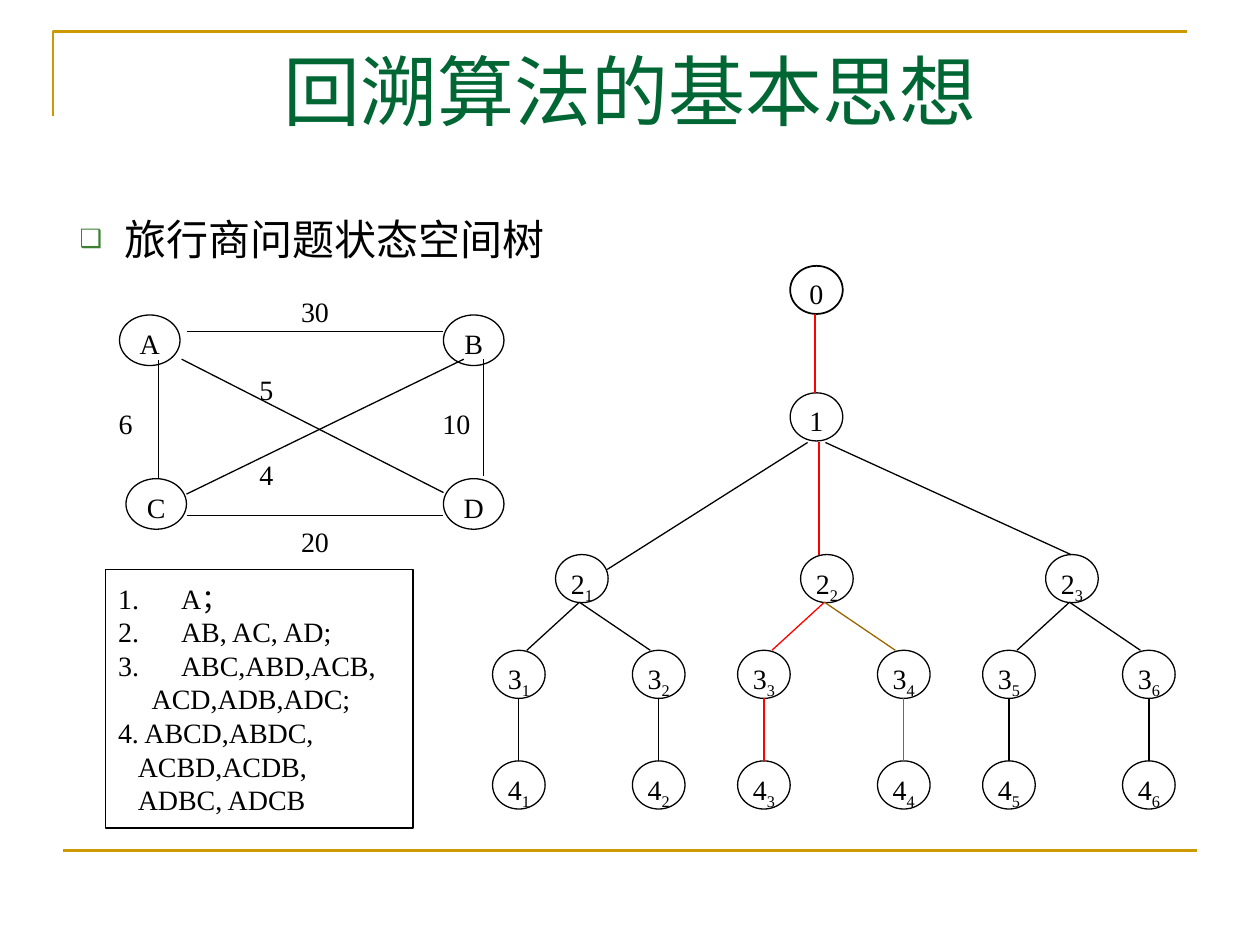
import pptx
import pptx.util
import pptx.dml.color
import pptx.enum.shapes
import pptx.enum.text
import pptx.oxml.ns
import lxml.etree

Cm = pptx.util.Cm
Pt = pptx.util.Pt
color = pptx.dml.color.RGBColor.from_string
qn = pptx.oxml.ns.qn
SERIF = "Times New Roman"
BLACK, RED, BROWN, GOLD = "000000", "FF0000", "996600", "CC9900"

deck = pptx.Presentation()
deck.slide_width, deck.slide_height = Cm(25.4), Cm(19.05)
page = deck.slides.add_slide(deck.slide_layouts[1])


def add_line(start, end, hue=BLACK, weight=0.75):
    """Draw a straight line between two points given in centimetres."""
    line = page.shapes.add_connector(
        pptx.enum.shapes.MSO_CONNECTOR.STRAIGHT,
        Cm(start[0]), Cm(start[1]), Cm(end[0]), Cm(end[1]))
    line.line.color.rgb = color(hue)
    line.line.width = Pt(weight)
    lxml.etree.SubElement(line._element.spPr, qn("a:effectLst"))


def add_node(left, top, width, height, label, subscript="", weight=0.75):
    """Draw an outlined ellipse with a label and an optional subscript."""
    node = page.shapes.add_shape(
        pptx.enum.shapes.MSO_SHAPE.OVAL, Cm(left), Cm(top), Cm(width), Cm(height))
    node.shadow.inherit = False
    node.fill.background()
    node.line.color.rgb = color(BLACK)
    node.line.width = Pt(weight)
    frame = node.text_frame
    frame.vertical_anchor = pptx.enum.text.MSO_ANCHOR.TOP
    frame.margin_left = frame.margin_right = Cm(0 if subscript else 0.05)
    frame.margin_top = frame.margin_bottom = 0
    para = frame.paragraphs[0]
    para.alignment = pptx.enum.text.PP_ALIGN.CENTER
    para.line_spacing = 1.12
    para.font.name, para.font.size = SERIF, Pt(16)
    para.font.color.rgb = color(BLACK)
    for text, baseline in ((label, 0), (subscript, -25000)):
        if text:
            span = para.add_run()
            span.text = text
            span.font.color.rgb = color(BLACK)
            if baseline:
                span._r.get_or_add_rPr().set("baseline", str(baseline))


# Frame rules
builder = page.shapes.build_freeform(Cm(1.07), Cm(2.34))
builder.add_line_segments([(Cm(1.07), Cm(0.64)), (Cm(23.93), Cm(0.64))], close=False)
corner = builder.convert_to_shape()
corner.shadow.inherit = False
corner.fill.background()
corner.line.color.rgb = color(GOLD)
corner.line.width = Pt(1.5)
add_line((1.27, 17.15), (24.13, 17.15), GOLD, 1.5)

# Title and bullet
title = page.shapes.title
title.left, title.top, title.width, title.height = Cm(1.27), Cm(0.76), Cm(22.86), Cm(3.18)
title.text_frame.text = "回溯算法的基本思想"
title.text_frame.vertical_anchor = pptx.enum.text.MSO_ANCHOR.TOP
para = title.text_frame.paragraphs[0]
para.alignment = pptx.enum.text.PP_ALIGN.CENTER
para.font.name, para.font.size = SERIF, Pt(44)
para.font.color.rgb = color("006633")

body = page.placeholders[1]
body.left, body.top, body.width, body.height = Cm(0.41), Cm(4.17), Cm(22.86), Cm(12.57)
body.text_frame.text = "旅行商问题状态空间树"
para = body.text_frame.paragraphs[0]
para.level = 1
props = para._p.get_or_add_pPr()
props.set("marL", str(Cm(1.85)))
props.set("indent", str(Cm(-0.91)))
bullet_color = lxml.etree.SubElement(props, qn("a:buClr"))
lxml.etree.SubElement(bullet_color, qn("a:srgbClr")).set("val", "3B812F")
lxml.etree.SubElement(props, qn("a:buSzPct")).set("val", "60000")
lxml.etree.SubElement(props, qn("a:buChar")).set("char", "❑")
para.space_before = Pt(4.8)
para.font.name, para.font.size = "Arial", Pt(24)
para.font.color.rgb = color(BLACK)

# Weighted graph of four cities
for city, left, top in (("A", 2.41, 6.35), ("B", 8.94, 6.35),
                        ("C", 2.54, 9.65), ("D", 8.94, 9.65)):
    add_node(left, top, 1.22, 1.02, city)

for start, end in (((3.76, 6.68), (8.94, 6.68)), ((3.2, 7.26), (3.2, 9.63)),
                   ((9.75, 7.24), (9.75, 9.6)), ((3.76, 10.39), (8.94, 10.39)),
                   ((3.76, 9.96), (9.35, 7.24)), ((3.66, 7.24), (8.94, 9.93))):
    add_line(start, end)

for cost, left, top in (("30", 6.07, 5.94), ("5", 5.23, 7.52), ("6", 2.39, 8.2),
                        ("10", 8.92, 8.2), ("4", 5.23, 9.22), ("20", 6.07, 10.57)):
    box = page.shapes.add_textbox(Cm(left), Cm(top), Cm(0.7), Cm(0.56))
    frame = box.text_frame
    frame.word_wrap = True
    frame.margin_left = frame.margin_right = frame.margin_top = frame.margin_bottom = 0
    frame.text = cost
    para = frame.paragraphs[0]
    para.font.name, para.font.size = SERIF, Pt(16)
    para.font.color.rgb = color(BLACK)

# State space tree: a root path and three equal branches
NODE = (1.06, 0.97)
BRANCH_STEP = 4.94
add_node(15.93, 5.36, *NODE, "0", weight=1)
add_node(15.93, 7.92, *NODE, "1")
add_line((16.43, 6.32), (16.43, 7.92), RED)
add_line((16.28, 8.92), (12.24, 11.48))
add_line((16.51, 8.92), (16.51, 11.18), RED)
add_line((16.64, 8.92), (21.59, 11.18))

for branch, hues in enumerate(((BLACK, BLACK), (RED, BROWN), (BLACK, BLACK))):
    shift = branch * BRANCH_STEP
    add_node(11.2 + shift, 11.18, *NODE, "2", str(branch + 1))
    for side, hue in enumerate(hues):
        left = 9.93 + 2.82 * side + shift
        center = left + NODE[0] / 2
        number = str(2 * branch + side + 1)
        add_node(left, 13.11, *NODE, "3", number)
        add_node(left, 15.34, *NODE, "4", number)
        add_line((11.68 + shift, 12.14), (10.62 + 2.49 * side + shift, 13.11), hue)
        add_line((center, 14.07), (center, 15.34), hue)

# Listing of partial tours
tours = page.shapes.add_textbox(Cm(2.13), Cm(11.48), Cm(6.2), Cm(5.21))
tours.line.color.rgb = color(BLACK)
tours.line.width = Pt(1)
frame = tours.text_frame
frame.word_wrap = True
frame.vertical_anchor = pptx.enum.text.MSO_ANCHOR.MIDDLE
tour_lines = (("A；", 1.27, True), ("AB, AC, AD;", 1.27, True),
              ("ABC,ABD,ACB,", 1.27, True), ("ACD,ADB,ADC;", 0.68, False),
              ("4. ABCD,ABDC,", 0, False), ("ACBD,ACDB,", 0.4, False),
              ("ADBC, ADCB", 0.4, False))
for index, (text, margin, numbered) in enumerate(tour_lines):
    para = frame.add_paragraph() if index else frame.paragraphs[0]
    para.text = text
    props = para._p.get_or_add_pPr()
    props.set("marL", str(Cm(margin)))
    props.set("indent", str(Cm(-margin if numbered else 0)))
    if numbered:
        lxml.etree.SubElement(props, qn("a:buAutoNum")).set("type", "arabicPeriod")
    para.font.name, para.font.size = SERIF, Pt(16)
    para.font.color.rgb = color(BLACK)

deck.save("out.pptx")
